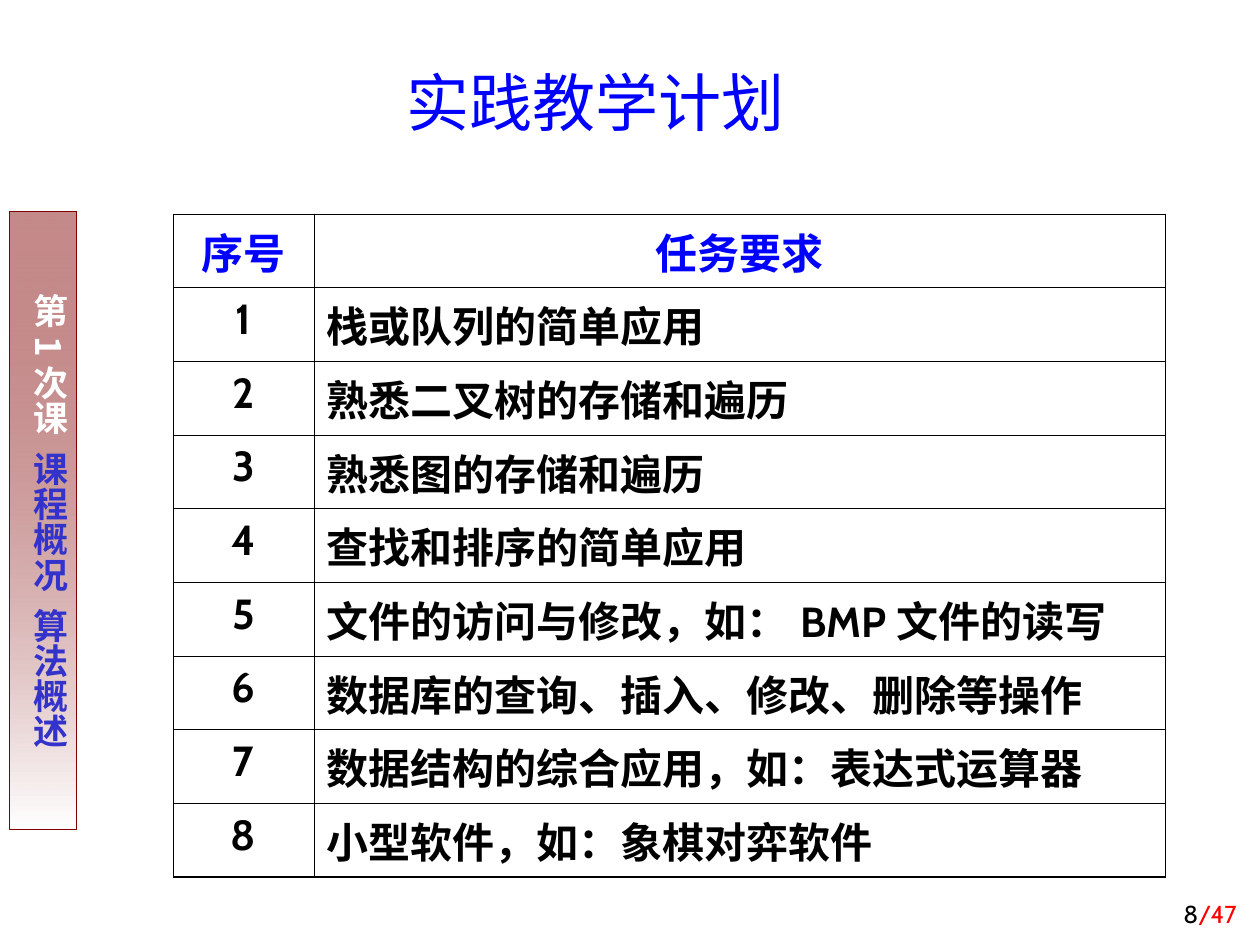
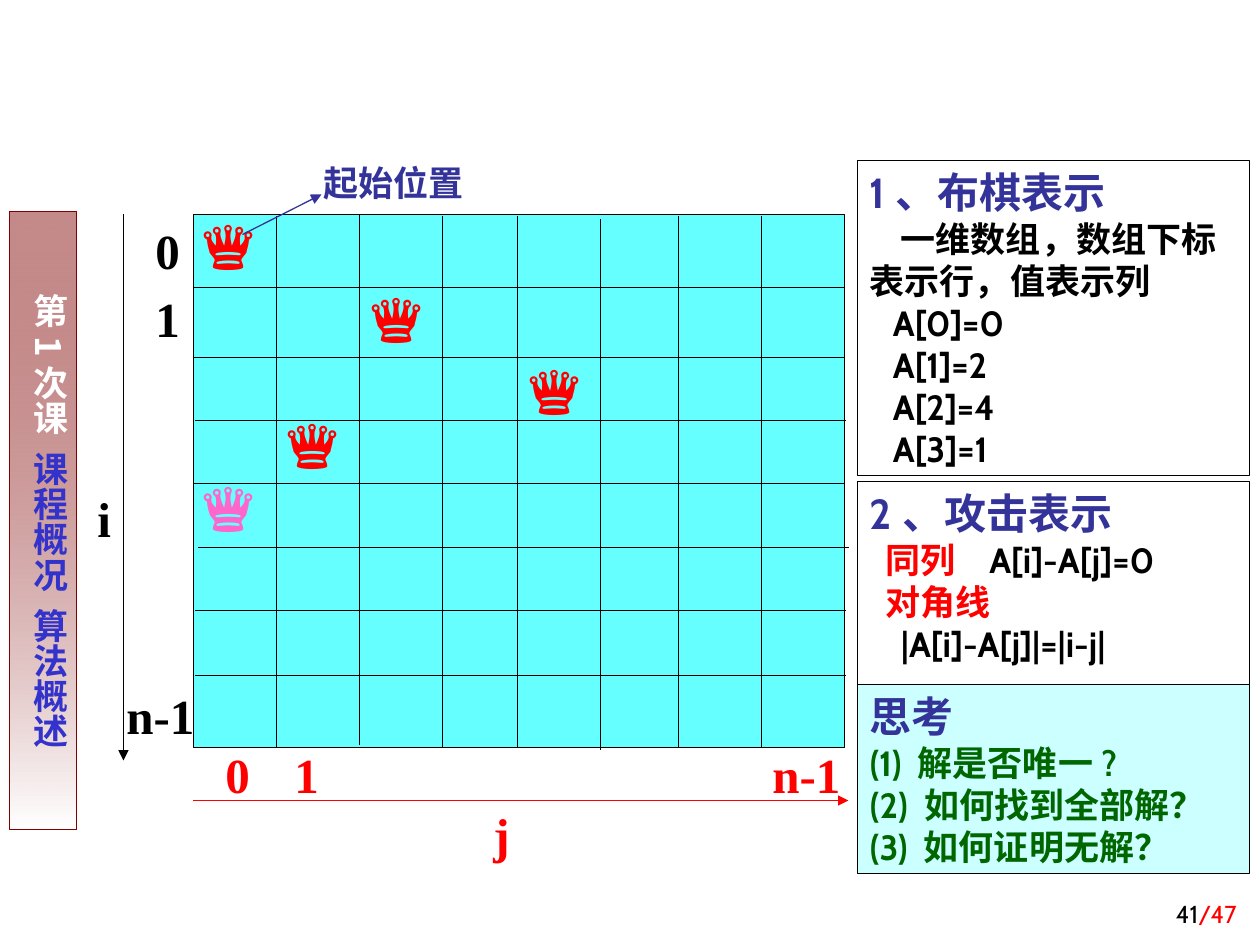
from dataclasses import dataclass
from typing import NamedTuple, Optional

import pptx
import pptx.util
import pptx.dml.color
import pptx.enum.shapes
import pptx.enum.text
import pptx.oxml
import pptx.oxml.ns
from lxml import etree

RGB = pptx.dml.color.RGBColor
ALIGN = pptx.enum.text.PP_ALIGN
ANCHOR = pptx.enum.text.MSO_ANCHOR
qn = pptx.oxml.ns.qn

# Colours and fonts
BLACK = RGB(0x00, 0x00, 0x00)
WHITE = RGB(0xFF, 0xFF, 0xFF)
RED = RGB(0xFF, 0x00, 0x00)
BLUE = RGB(0x00, 0x00, 0xFF)
MAROON = RGB(0x80, 0x00, 0x00)
TOPIC_BLUE = RGB(0x33, 0x33, 0xCC)
NAVY = RGB(0x33, 0x33, 0x99)
GREEN = RGB(0x00, 0x66, 0x00)
PINK = RGB(0xFF, 0x66, 0xCC)
BOARD_CYAN = RGB(0x66, 0xFF, 0xFF)
PALE_CYAN = RGB(0xCC, 0xFF, 0xFF)
CABIN = "Cabin"
NOTO = "Noto Sans CJK SC"
TIMES = "Times New Roman"

PX_PER_INCH = 126
TOTAL_PAGES = 47


class Box(NamedTuple):
    left: int
    top: int
    width: int
    height: int


class Run(NamedTuple):
    text: str
    color: Optional[RGB] = None
    spacing: int = 0


@dataclass
class Line:
    """One paragraph; lengths are px."""
    runs: list[Run]
    size: Optional[int] = None
    margin: int = 0
    first_indent: int = 0


class GridLine(NamedTuple):
    at: int
    shift: int


class Label(NamedTuple):
    text: str
    box: Box
    color: RGB
    size: int = 28
    bold: bool = True
    asian: str = TIMES


@dataclass
class Panel:
    box: Box
    lines: list[Line]
    fill: Optional[RGB] = None


def px(value: int) -> int:
    return round(value * 914400 / PX_PER_INCH)


# Strokes run through pixel centres, which keeps thin lines crisp
HALF_PX = px(1) // 2


def emu(box: Box) -> list[int]:
    return [px(value) for value in box]


def write(frame, text, *, font=CABIN, asian=None, size=24, color=BLACK, bold=False,
          align=ALIGN.LEFT, anchor=ANCHOR.TOP, wrap=True) -> None:
    """Fill a text frame with a string or a list of Lines."""
    lines = [Line([Run(text)])] if isinstance(text, str) else text
    frame.word_wrap = wrap
    frame.vertical_anchor = anchor
    for index, line in enumerate(lines):
        paragraph = frame.paragraphs[0] if index == 0 else frame.add_paragraph()
        paragraph.alignment = align
        if line.margin or line.first_indent:
            properties = paragraph._p.get_or_add_pPr()
            properties.set("marL", str(px(line.margin)))
            properties.set("indent", str(px(line.first_indent)))
        for part in line.runs:
            run = paragraph.add_run()
            run.text = part.text
            run.font.name = font
            run.font.size = pptx.util.Pt(line.size or size)
            run.font.bold = bold
            run.font.color.rgb = part.color or color
            properties = run._r.get_or_add_rPr()
            if part.spacing:
                properties.set("spc", str(px(part.spacing) // 127))
            etree.SubElement(properties, qn("a:ea")).set("typeface", asian or font)


def add_text(slide, box: Box, text, **text_format) -> None:
    write(slide.shapes.add_textbox(*emu(box)).text_frame, text, **text_format)


def add_rect(slide, box: Box, fill: Optional[RGB] = None, line: RGB = BLACK):
    left, top, width, height = emu(box)
    rect = slide.shapes.add_shape(pptx.enum.shapes.MSO_SHAPE.RECTANGLE,
                                  left + HALF_PX, top + HALF_PX, width, height)
    rect.shadow.inherit = False
    if fill is None:
        rect.fill.background()
    else:
        rect.fill.solid()
        rect.fill.fore_color.rgb = fill
    rect.line.color.rgb = line
    rect.line.width = pptx.util.Pt(0.75)
    return rect


def add_line(slide, x1: int, y1: int, x2: int, y2: int,
             color: RGB = BLACK, arrow: bool = False) -> None:
    line = slide.shapes.add_connector(
        pptx.enum.shapes.MSO_CONNECTOR.STRAIGHT,
        *[px(value) + HALF_PX for value in (x1, y1, x2, y2)])
    line.line.color.rgb = color
    line.line.width = pptx.util.Pt(0.75)
    if arrow:
        etree.SubElement(line.line._get_or_add_ln(), qn("a:tailEnd")).set("type", "triangle")
    etree.SubElement(line._element.spPr, qn("a:effectLst"))


def add_border(cell, side: str, width: float) -> None:
    border = etree.SubElement(cell._tc.get_or_add_tcPr(), qn(f"a:ln{side}"))
    border.set("w", str(pptx.util.Pt(width)))
    fill = etree.SubElement(border, qn("a:solidFill"))
    etree.SubElement(fill, qn("a:srgbClr")).set("val", str(BLACK))


# Shared parts
def add_lesson_band(slide) -> None:
    band = add_rect(slide, Box(9, 211, 67, 618), line=MAROON)
    band.fill.gradient()
    band.fill.gradient_angle = 270
    for stop, color in zip(band.fill.gradient_stops, (MAROON, WHITE)):
        stop.color.rgb = color
    first_color = band._element.spPr.find(".//" + qn("a:gs")).find(qn("a:srgbClr"))
    etree.SubElement(first_color, qn("a:alpha")).set("val", "46000")
    frame = band.text_frame
    frame.margin_left = frame.margin_right = px(6)
    frame.margin_top, frame.margin_bottom = px(82), px(13)
    frame._txBody.bodyPr.set("vert", "eaVert")
    gap = Run(" ", spacing=8)
    lesson = Line([Run("第1次课", WHITE), gap, Run("课程概况", TOPIC_BLUE),
                   gap, Run("算法概述", TOPIC_BLUE)])
    write(frame, [lesson], font=NOTO, size=20, bold=True)


def new_slide(deck, page: int):
    slide = deck.slides.add_slide(deck.slide_layouts[6])
    add_lesson_band(slide)
    number = Line([Run(str(page)), Run(f"/{TOTAL_PAGES}", RED)])
    add_text(slide, Box(987, 872, 262, 63), [number], size=14,
             align=ALIGN.RIGHT, anchor=ANCHOR.BOTTOM)
    return slide


# Practice plan
TASKS = [
    "栈或队列的简单应用",
    "熟悉二叉树的存储和遍历",
    "熟悉图的存储和遍历",
    "查找和排序的简单应用",
    "文件的访问与修改，如：BMP文件的读写",
    "数据库的查询、插入、修改、删除等操作",
    "数据结构的综合应用，如：表达式运算器",
    "小型软件，如：象棋对弈软件",
]
PLAN = Box(173, 214, 992, 663)


def build_plan(deck) -> None:
    slide = new_slide(deck, 8)
    add_text(slide, Box(223, 25, 745, 120), "实践教学计划", size=36, color=BLUE,
             align=ALIGN.CENTER, anchor=ANCHOR.BOTTOM)
    rows = [("序号", "任务要求")] + [(str(n), task) for n, task in enumerate(TASKS, 1)]
    plan = slide.shapes.add_table(len(rows), 2, *emu(PLAN)).table
    plan.first_row = plan.horz_banding = False
    for column, width in zip(plan.columns, (141, PLAN.width - 141)):
        column.width = px(width)
    for r, row in enumerate(rows):
        plan.rows[r].height = px(PLAN.height) // len(rows)
        for c, text in enumerate(row):
            cell = plan.cell(r, c)
            for side in "LRTB":
                is_base = side == "B" and r == len(rows) - 1
                add_border(cell, side, 1.08 if is_base else 0.45)
            cell.fill.background()
            write(cell.text_frame, text, asian=NOTO, bold=True,
                  color=BLUE if r == 0 else BLACK,
                  align=ALIGN.CENTER if r == 0 or c == 0 else ALIGN.LEFT)


# Queens board
BOARD = Box(193, 214, 651, 533)
ROW_LINES = [GridLine(287, 0), GridLine(357, 0), GridLine(420, 2), GridLine(483, 0),
             GridLine(547, 5), GridLine(610, 2), GridLine(675, 2)]
COLUMN_LINES = [GridLine(276, 2), GridLine(359, 0), GridLine(442, 2), GridLine(517, 2),
                GridLine(600, 5), GridLine(678, 2), GridLine(761, 2)]
QUEENS = [(188, 456, PINK), (356, 267, RED), (514, 339, RED), (272, 393, RED), (188, 194, RED)]
LABELS = [
    Label("i", Box(85, 482, 39, 72), BLACK),
    Label("0", Box(143, 214, 49, 72), BLACK),
    Label("1", Box(143, 282, 49, 72), BLACK),
    Label("n-1", Box(114, 679, 93, 72), BLACK),
    Label("j", Box(481, 798, 42, 72), RED),
    Label("0", Box(213, 738, 49, 72), RED),
    Label("1", Box(282, 738, 49, 72), RED),
    Label("n-1", Box(760, 738, 93, 72), RED),
    Label("起始位置", Box(311, 155, 168, 55), NAVY, size=20, asian=CABIN),
] + [Label("♛", Box(x, y, 94, 97), color, size=40, bold=False) for x, y, color in QUEENS]


def heading(text: str) -> Line:
    return Line([Run(text, NAVY)], size=24)


PANELS = [
    Panel(Box(857, 160, 392, 315), [
        heading("1、布棋表示"),
        Line([Run("一维数组，数组下标表示行，值表示列")], first_indent=31),
        *[Line([Run(f"A[{row}]={column}")], margin=23)
          for row, column in enumerate((0, 2, 4, 1))],
    ]),
    Panel(Box(857, 481, 392, 232), [
        heading("2、攻击表示"),
        Line([Run("同列", RED), Run(" ", spacing=17), Run("A[i]-A[j]=0")], margin=16),
        Line([Run("对角线", RED)], margin=16),
        Line([Run("|A[i]-A[j]|=|i-j|")], margin=31),
    ]),
    Panel(Box(857, 684, 392, 189), [
        heading("思考"),
        *[Line([Run(f"({n}) {question}", GREEN)]) for n, question in enumerate(
            ("解是否唯一?", "如何找到全部解？", "如何证明无解？"), 1)],
    ], PALE_CYAN),
]


def build_board(deck) -> None:
    slide = new_slide(deck, 41)
    add_rect(slide, BOARD, BOARD_CYAN)
    for y, shift in ROW_LINES:
        left = BOARD.left + shift
        add_line(slide, left, y, left + BOARD.width, y)
    for x, shift in COLUMN_LINES:
        top = BOARD.top + shift
        add_line(slide, x, top, x, top + BOARD.height - 2)
    for label in LABELS:
        add_text(slide, label.box, label.text, font=TIMES, asian=label.asian,
                 size=label.size, color=label.color, bold=label.bold, wrap=False)
    # Axes and start pointer
    add_line(slide, 123, 214, 123, 760, arrow=True)
    add_line(slide, 193, 800, 848, 800, RED, arrow=True)
    add_line(slide, 242, 234, 321, 194, NAVY, arrow=True)
    for panel in PANELS:
        rect = add_rect(slide, panel.box, panel.fill)
        write(rect.text_frame, panel.lines, size=20, bold=True)


def main() -> None:
    deck = pptx.Presentation()
    deck.slide_width, deck.slide_height = px(1260), px(945)
    build_plan(deck)
    build_board(deck)
    deck.save("out.pptx")


if __name__ == "__main__":
    main()
